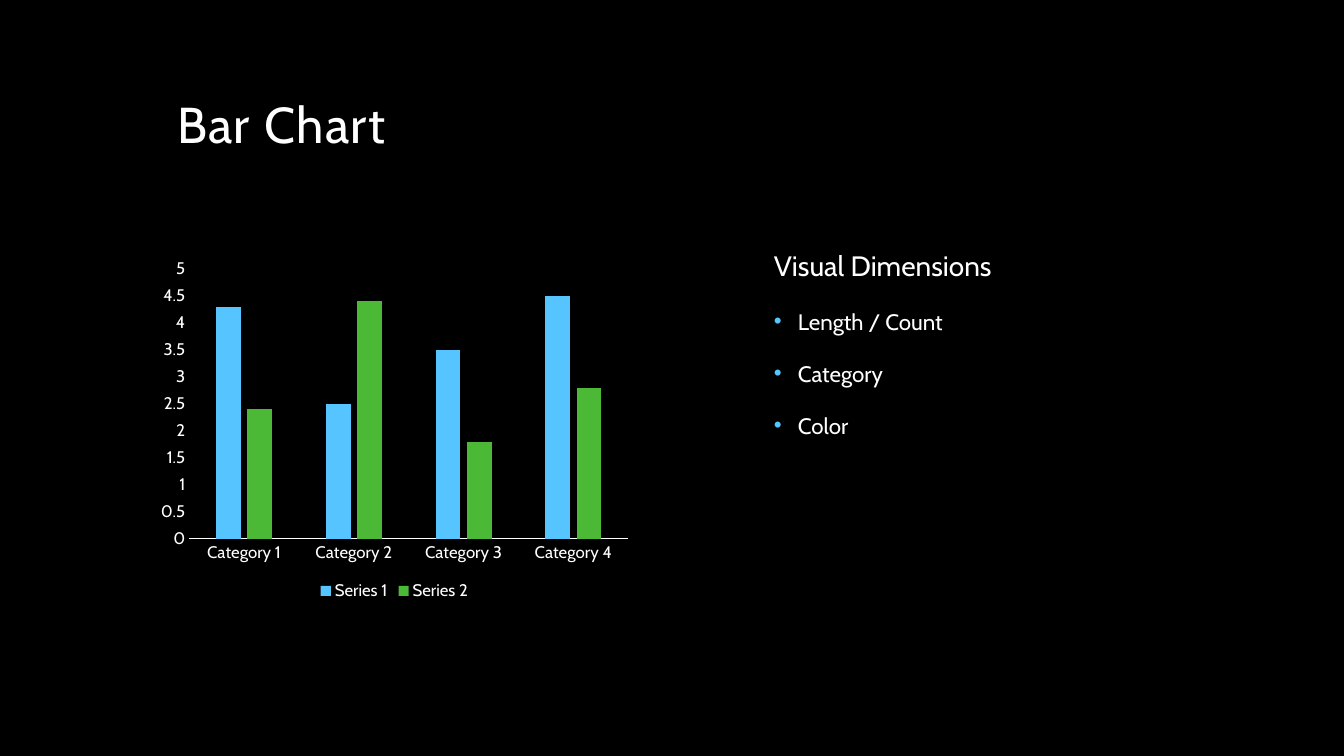
import pptx
import pptx.chart.data
import pptx.dml.color
import pptx.enum.chart
import pptx.enum.text
import pptx.oxml
import pptx.oxml.ns
import pptx.util

TITLE = "Bar Chart"
HEADING = "Visual Dimensions"
DIMENSIONS = ["Length / Count", "Category", "Color"]
CATEGORIES = ["Category 1", "Category 2", "Category 3", "Category 4"]
SERIES = [
    ("Series 1", "56C5FF", (4.3, 2.5, 3.5, 4.5)),
    ("Series 2", "4BB836", (2.4, 4.4, 1.8, 2.8)),
]

FONT, BLACK, WHITE, BULLET = "Cabin", "000000", "FFFFFF", "56C5FF"
PX = 914400 / 100.8
SLIDE_SIZE = (1344, 756)
TITLE_BOX = (167, 68, 1008, 92)
DIMENSIONS_BOX = (764, 244, 538, 454)
CHART_BOX = (151, 252, 487, 353)
BULLET_INDENT = 24


def px(*lengths):
    return [round(length * PX) for length in lengths]


def color(value):
    return pptx.dml.color.RGBColor.from_string(value)


def style(font, size):
    font.name, font.size, font.bold = FONT, pptx.util.Pt(size), False
    font.color.rgb = color(WHITE)


def write(paragraph, text, size, before=0, line=1.0, spacing=0, bullet=None):
    """Fill a paragraph; spacing is between letters, in points."""
    run = paragraph.add_run()
    run.text = text
    style(run.font, size)
    if spacing:
        run.font._element.set("spc", str(spacing * 100))
    paragraph.alignment = pptx.enum.text.PP_ALIGN.LEFT
    paragraph.space_before = pptx.util.Pt(before)
    paragraph.line_spacing = line
    if bullet:
        properties = paragraph._p.get_or_add_pPr()
        indent = px(BULLET_INDENT)[0]
        properties.set("marL", str(indent))
        properties.set("indent", str(-indent))
        namespace = pptx.oxml.ns.nsdecls("a")
        for xml in (
            f'<a:buClr {namespace}><a:srgbClr val="{bullet}"/></a:buClr>',
            f'<a:buFont {namespace} typeface="Arial"/>',
            f'<a:buChar {namespace} char="•"/>',
        ):
            properties.append(pptx.oxml.parse_xml(xml))


def add_title(slide):
    title = slide.shapes.title
    title.left, title.top, title.width, title.height = px(*TITLE_BOX)
    frame = title.text_frame
    frame.vertical_anchor = pptx.enum.text.MSO_ANCHOR.BOTTOM
    frame.auto_size = pptx.enum.text.MSO_AUTO_SIZE.NONE
    write(frame.paragraphs[0], TITLE, 36, line=0.9, spacing=1)


def add_dimensions(slide):
    frame = slide.shapes.add_textbox(*px(*DIMENSIONS_BOX)).text_frame
    frame.word_wrap = True
    write(frame.paragraphs[0], HEADING, 20, before=18)
    for dimension in DIMENSIONS:
        write(frame.add_paragraph(), dimension, 16, before=18, bullet=BULLET)


def add_bar_chart(slide):
    data = pptx.chart.data.CategoryChartData()
    data.categories = CATEGORIES
    for name, _, values in SERIES:
        data.add_series(name, values)
    chart = slide.shapes.add_chart(
        pptx.enum.chart.XL_CHART_TYPE.COLUMN_CLUSTERED, *px(*CHART_BOX), data
    ).chart
    style(chart.font, 10)
    chart.has_title = False

    chart.has_legend = True
    chart.legend.position = pptx.enum.chart.XL_LEGEND_POSITION.BOTTOM
    chart.legend.include_in_layout = False
    style(chart.legend.font, 12)

    for axis in (chart.category_axis, chart.value_axis):
        axis.major_tick_mark = pptx.enum.chart.XL_TICK_MARK.NONE
        axis.minor_tick_mark = pptx.enum.chart.XL_TICK_MARK.NONE
        axis.has_major_gridlines = False
        style(axis.tick_labels.font, 12)
    baseline = chart.category_axis.format.line
    baseline.color.rgb = color(WHITE)
    baseline.width = pptx.util.Pt(0.75)
    chart.value_axis.format.line.fill.background()
    chart.value_axis.minimum_scale = 0
    chart.value_axis.maximum_scale = 5
    chart.value_axis.major_unit = 0.5

    plot = chart.plots[0]
    plot.gap_width, plot.overlap, plot.vary_by_categories = 219, -27, False
    for bars, (_, fill, _) in zip(plot.series, SERIES):
        bars.format.fill.solid()
        bars.format.fill.fore_color.rgb = color(fill)


def main():
    deck = pptx.Presentation()
    deck.slide_width, deck.slide_height = px(*SLIDE_SIZE)
    slide = deck.slides.add_slide(deck.slide_layouts[5])
    slide.background.fill.solid()
    slide.background.fill.fore_color.rgb = color(BLACK)
    add_title(slide)
    add_dimensions(slide)
    add_bar_chart(slide)
    deck.save("out.pptx")


if __name__ == "__main__":
    main()
